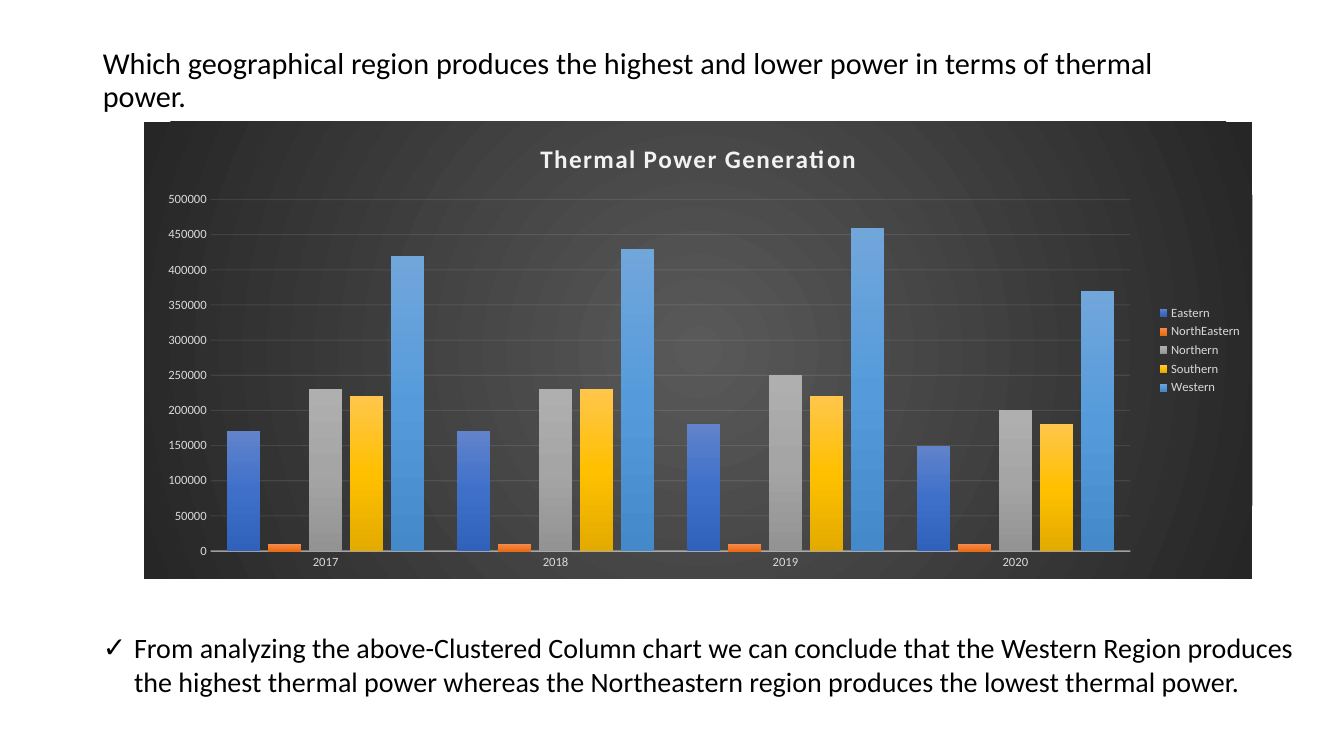
from lxml import etree
from pptx import Presentation
from pptx.chart.data import CategoryChartData
from pptx.dml.color import RGBColor
from pptx.enum.chart import XL_CHART_TYPE, XL_LEGEND_POSITION, XL_TICK_MARK
from pptx.enum.text import MSO_ANCHOR, MSO_AUTO_SIZE, PP_ALIGN
from pptx.oxml import parse_xml
from pptx.oxml.ns import qn
from pptx.util import Inches, Pt

COLUMNS = XL_CHART_TYPE.COLUMN_CLUSTERED
RIGHT = XL_LEGEND_POSITION.RIGHT
NO_TICK = XL_TICK_MARK.NONE
MIDDLE = MSO_ANCHOR.MIDDLE
NO_FIT = MSO_AUTO_SIZE.NONE
LEFT = PP_ALIGN.LEFT

W, H = Inches(13.33), Inches(7.5)
FONT = "Calibri"
NS_A = "http://schemas.openxmlformats.org/drawingml/2006/main"
NS_C = "http://schemas.openxmlformats.org/drawingml/2006/chart"
LINEAR = '<a:lin ang="5400000" scaled="0"/>'
RADIAL = ('<a:path path="circle"><a:fillToRect l="50000" t="50000" '
          'r="50000" b="50000"/></a:path>')

YEARS = ["2017", "2018", "2019", "2020"]
# Region, values by year, gradient from top to bottom
REGIONS = [
    ("Eastern", (170000, 170000, 180000, 150000), ("6183CB", "3E70CA", "3062BB")),
    ("NorthEastern", (10000, 10000, 10000, 10000), ("F18C57", "F67B28", "E56C19")),
    ("Northern", (230000, 230000, 250000, 200000), ("AFAFAF", "A5A5A5", "939393")),
    ("Southern", (220000, 230000, 220000, 180000), ("FFC64B", "FFC000", "E3AB00")),
    ("Western", (420000, 430000, 460000, 370000), ("71A6DB", "559BDB", "448ACA")),
]


def box(left, top, width, height):
    """Turn percentages of the slide into lengths."""
    return (int(W * left / 100), int(H * top / 100),
            int(W * width / 100), int(H * height / 100))


def rgb(hex_color):
    return RGBColor.from_string(hex_color)


def set_font(font, size, color, bold=False):
    font.name, font.size, font.bold = FONT, Pt(size), bold
    font.color.rgb = rgb(color)


def gradient(colors, direction):
    last = len(colors) - 1
    stops = "".join(f'<a:gs pos="{100000 * i // last}"><a:srgbClr val="{c}"/></a:gs>'
                    for i, c in enumerate(colors))
    return parse_xml(f'<a:gradFill xmlns:a="{NS_A}" rotWithShape="1">'
                     f'<a:gsLst>{stops}</a:gsLst>{direction}</a:gradFill>')


def set_line(line, color, width, opacity):
    line.width = Pt(width)
    line.color.rgb = rgb(color)
    clr = line._ln.find(".//" + qn("a:srgbClr"))
    etree.SubElement(clr, qn("a:alpha")).set("val", str(opacity * 1000))


def fill_placeholder(sp, place, text, size, line_spacing):
    sp.left, sp.top, sp.width, sp.height = place
    tf = sp.text_frame
    tf.text = text
    tf.word_wrap, tf.auto_size, tf.vertical_anchor = True, NO_FIT, MIDDLE
    p = tf.paragraphs[0]
    p.alignment, p.line_spacing, p.space_before = LEFT, line_spacing, Pt(0)
    set_font(p.runs[0].font, size, "000000")
    return p


def set_bullet(p, char, indent):
    pPr = p._p.get_or_add_pPr()
    pPr.set("marL", str(Inches(indent)))
    pPr.set("indent", str(-Inches(indent)))
    etree.SubElement(pPr, qn("a:buFont")).set("typeface", FONT)
    etree.SubElement(pPr, qn("a:buChar")).set("char", char)


def place_plot(chart, x, y, w, h):
    """Fix the inner plot area, in shares of the chart."""
    values = "".join(f'<c:{k} val="{v}"/>' for k, v in (
        ("layoutTarget", "inner"), ("xMode", "edge"), ("yMode", "edge"),
        ("x", x), ("y", y), ("w", w), ("h", h)))
    layout = parse_xml(f'<c:layout xmlns:c="{NS_C}"><c:manualLayout>{values}'
                       '</c:manualLayout></c:layout>')
    plot_area = chart._chartSpace.find(".//" + qn("c:plotArea"))
    for old in plot_area.findall(qn("c:layout")):
        plot_area.remove(old)
    plot_area.insert(0, layout)


def format_title(chart, text):
    tf = chart.chart_title.text_frame
    tf.text = text
    r = tf.paragraphs[0].runs[0]
    set_font(r.font, 18, "F2F2F2", True)
    r.font._element.set("spc", "100")
    chart.chart_title.include_in_layout = False


def format_axes(chart):
    years, power = chart.category_axis, chart.value_axis
    for axis in (years, power):
        axis.major_tick_mark = axis.minor_tick_mark = NO_TICK
        set_font(axis.tick_labels.font, 9, "D9D9D9")
    set_line(years.format.line, "F2F2F2", 1, 54)
    power.format.line.fill.background()
    power.minimum_scale, power.maximum_scale, power.major_unit = 0, 500000, 50000
    set_line(power.major_gridlines.format.line, "F2F2F2", 0.75, 10)


def add_column_chart(slide, place, title):
    data = CategoryChartData()
    data.categories = YEARS
    for name, values, _ in REGIONS:
        data.add_series(name, values)
    chart = slide.shapes.add_chart(COLUMNS, *place, data).chart
    set_font(chart.font, 10, "000000")

    # Dark background
    spPr = parse_xml(f'<c:spPr xmlns:c="{NS_C}"/>')
    spPr.append(gradient(("595959", "262626"), RADIAL))
    chart._chartSpace.find(qn("c:chart")).addnext(spPr)

    # Columns
    plot = chart.plots[0]
    plot.gap_width, plot.overlap, plot.vary_by_categories = 100, -24, False
    for series, (_, _, colors) in zip(plot.series, REGIONS):
        series._element.get_or_add_spPr().append(gradient(colors, LINEAR))

    # Title, axes and legend
    format_title(chart, title)
    format_axes(chart)
    chart.has_legend = True
    chart.legend.position = RIGHT
    chart.legend.include_in_layout = False
    set_font(chart.legend.font, 9, "D9D9D9")
    place_plot(chart, 0.06, 0.17, 0.83, 0.77)


def main():
    prs = Presentation()
    prs.slide_width, prs.slide_height = W, H
    slide = prs.slides.add_slide(prs.slide_layouts[1])
    title, body = slide.placeholders

    # Question
    fill_placeholder(title, box(6.9, 5.33, 86.25, 10.8),
                     "Which geographical region produces the highest and lower "
                     "power in terms of thermal power.", 21.6, 0.9)
    # Conclusion
    p = fill_placeholder(body, box(6.9, 83.87, 91.67, 8),
                         "From analyzing the above-Clustered Column chart we can "
                         "conclude that the Western Region produces the highest "
                         "thermal power whereas the Northeastern region produces "
                         "the lowest thermal power.", 20, 1.0)
    set_bullet(p, "✓", 0.31)
    # Chart
    add_column_chart(slide, box(10.73, 16.13, 82.45, 60.4),
                     "Thermal Power Generation")
    prs.save("out.pptx")


if __name__ == "__main__":
    main()
